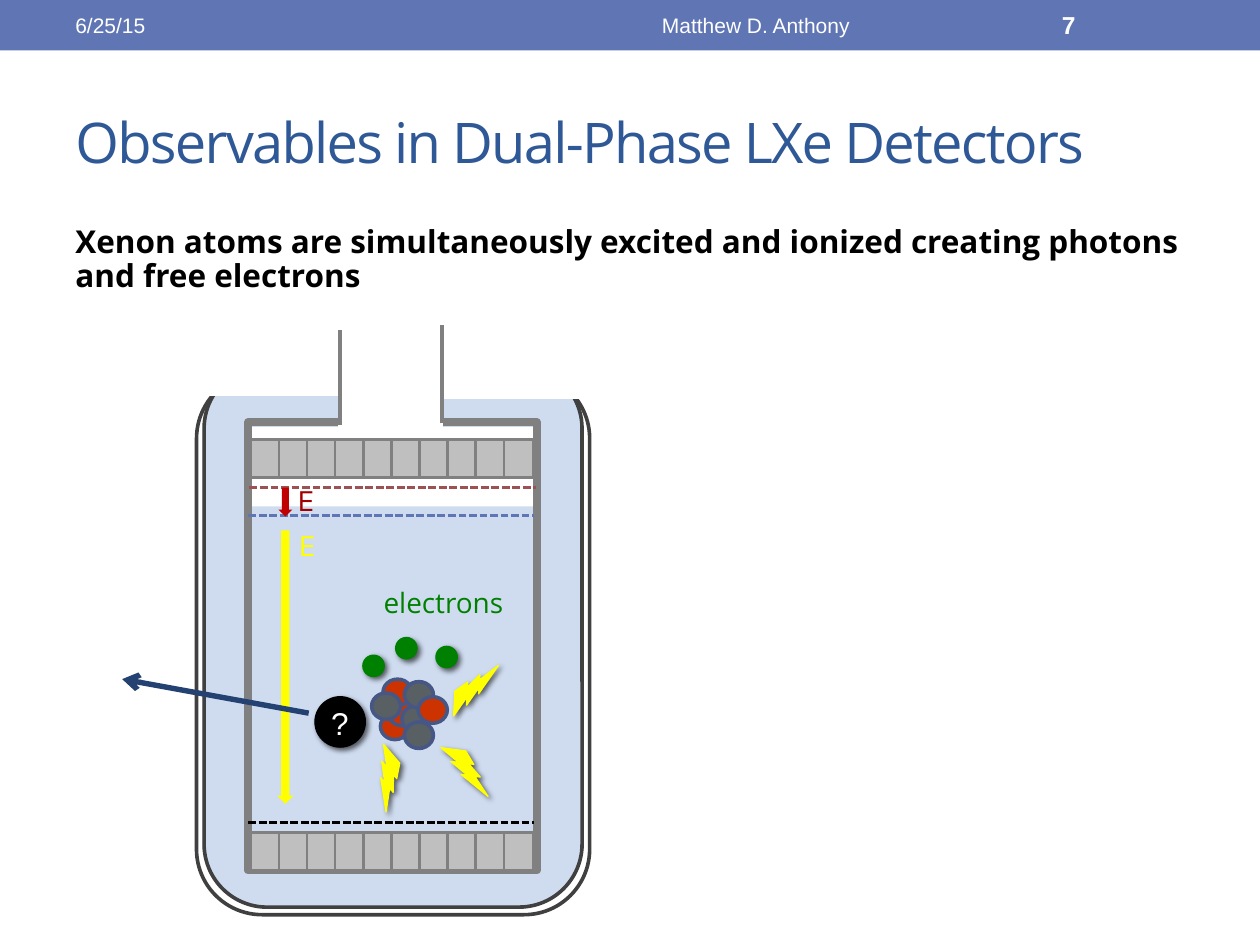
from lxml import etree
from pptx import Presentation
from pptx.dml.color import RGBColor
from pptx.enum.dml import MSO_LINE
from pptx.enum.shapes import MSO_CONNECTOR, MSO_SHAPE
from pptx.enum.text import MSO_ANCHOR, PP_ALIGN
from pptx.oxml import parse_xml
from pptx.oxml.ns import nsdecls, qn
from pptx.util import Inches, Pt

RECT = MSO_SHAPE.RECTANGLE
ROUND = MSO_SHAPE.ROUNDED_RECTANGLE
OVAL = MSO_SHAPE.OVAL
BOLT = MSO_SHAPE.LIGHTNING_BOLT
DOWN = MSO_SHAPE.DOWN_ARROW
STRAIGHT = MSO_CONNECTOR.STRAIGHT
DASH = MSO_LINE.SQUARE_DOT
TOP, MIDDLE = MSO_ANCHOR.TOP, MSO_ANCHOR.MIDDLE
LEFT, CENTER = PP_ALIGN.LEFT, PP_ALIGN.CENTER

WHITE = RGBColor(0xFF, 0xFF, 0xFF)
BLACK = RGBColor(0, 0, 0)
BAR_BLUE = RGBColor(0x60, 0x76, 0xB4)
TITLE_BLUE = RGBColor(0x2F, 0x58, 0x97)
LIQUID = RGBColor(0xCF, 0xDC, 0xF0)
VESSEL = RGBColor(0x40, 0x40, 0x40)
STEEL = RGBColor(0x80, 0x80, 0x80)
SENSOR = RGBColor(0xBF, 0xBF, 0xBF)
MESH_RED = RGBColor(0x9C, 0x52, 0x52)
YELLOW = RGBColor(0xFF, 0xFF, 0)
ARROW_RED = RGBColor(0xC0, 0, 0)
LABEL_RED = RGBColor(0xA2, 0, 0)
PROTON = RGBColor(0xCC, 0x33, 0)
NEUTRON = RGBColor(0x58, 0x60, 0x64)
NUCLEON_EDGE = RGBColor(0x47, 0x57, 0x85)
TRACK = RGBColor(0x23, 0x42, 0x71)
GREEN = RGBColor(0, 0x80, 0)

SHADOW = (
    f'<a:effectLst {nsdecls("a")}><a:outerShdw blurRad="38100" dist="25400" '
    'dir="2700000" rotWithShape="0"><a:srgbClr val="000000"><a:alpha val="60000"/>'
    '</a:srgbClr></a:outerShdw></a:effectLst>'
)


def add_box(shapes, kind, at, fill=None, line=None, width=2.08, rotation=0, shadow=False):
    """Add a preset shape at (left, top, width, height) in inches."""
    s = shapes.add_shape(kind, *map(Inches, at))
    s.rotation = rotation
    if fill is None:
        s.fill.background()
    else:
        s.fill.solid()
        s.fill.fore_color.rgb = fill
    if line is None:
        s.line.fill.background()
    else:
        s.line.color.rgb = line
        s.line.width = Pt(width)
    if shadow:
        s._element.spPr.append(parse_xml(SHADOW))
    else:
        s.shadow.inherit = False
    return s


def add_line(shapes, start, end, color, width=1.5, dash=None, arrow=False):
    """Add a straight line between two points in inches."""
    c = shapes.add_connector(STRAIGHT, *map(Inches, start + end))
    c.line.color.rgb = color
    c.line.width = Pt(width)
    if dash is not None:
        c.line.dash_style = dash
    if arrow:
        etree.SubElement(c.line._get_or_add_ln(), qn("a:tailEnd"), type="arrow")
    etree.SubElement(c._element.spPr, qn("a:effectLst"))
    return c


def add_text(shapes, at, text, size=18, font="Arial", color=WHITE, bold=False,
             align=LEFT, anchor=TOP, line_spacing=None, tracking=None):
    """Add a one-paragraph text box with the given format."""
    tf = shapes.add_textbox(*map(Inches, at)).text_frame
    tf.word_wrap = True
    tf.vertical_anchor = anchor
    p = tf.paragraphs[0]
    p.alignment = align
    p.line_spacing = line_spacing
    r = p.add_run()
    r.text = text
    r.font.size = Pt(size)
    r.font.name = font
    r.font.color.rgb = color
    r.font.bold = bold
    if tracking is not None:
        r._r.get_or_add_rPr().set("spc", str(int(tracking * 100)))


def add_header(shapes):
    """Add the top bar, its three fields, the title and the statement."""
    add_box(shapes, RECT, (0, 0, 10, 0.4), BAR_BLUE)
    add_text(shapes, (0.5, 0.58, 9, 1.08), "Observables in Dual-Phase LXe Detectors",
             size=32, font="Open Sans", color=TITLE_BLUE, anchor=MIDDLE, tracking=-1)
    add_text(shapes, (0.5, 0.02, 3.17, 0.36), "6/25/15", size=12, anchor=MIDDLE)
    add_text(shapes, (3.75, 0.02, 4.5, 0.36), "Matthew D. Anthony", size=12,
             align=CENTER, anchor=MIDDLE)
    add_text(shapes, (8.33, 0.02, 1.17, 0.36), "7", size=14, bold=True, anchor=MIDDLE)
    add_text(shapes, (0.5, 1.75, 9, 0.86),
             "Xenon atoms are simultaneously excited and ionized creating photons "
             "and free electrons",
             font="Open Sans", color=BLACK, bold=True, line_spacing=0.9)


def add_detector(shapes):
    """Add the vessel, sensor rows, neck, meshes and field arrows."""
    add_box(shapes, ROUND, (1.62, 2.95, 3, 4.23), LIQUID, LIQUID)
    add_box(shapes, RECT, (1.98, 3.39, 2.26, 0.63), WHITE)
    add_box(shapes, ROUND, (1.56, 2.96, 3.12, 4.3), line=VESSEL)
    add_box(shapes, ROUND, (1.62, 2.9, 3, 4.3), line=VESSEL)
    add_box(shapes, RECT, (1.68, 2.72, 2.83, 0.41), line=WHITE)
    add_box(shapes, RECT, (1.97, 3.35, 2.29, 3.56), line=STEEL, width=4.5)
    for top in (3.49, 6.61):
        for i in range(10):
            add_box(shapes, RECT, (1.99 + i * 0.2233, top, 0.23, 0.3), SENSOR, STEEL, 1.5)
    add_box(shapes, RECT, (2.7, 2.33, 0.8, 1.06), WHITE, WHITE)
    add_box(shapes, RECT, (2.7, 3.13, 0.81, 0.08), WHITE)
    for at in ((2.66, 2.33, 0.9, 0.04), (3.46, 2.83, 1.19, 0.32), (1.65, 2.81, 1.05, 0.32)):
        add_box(shapes, RECT, at, WHITE, WHITE)
    for left, y, color in ((1.97, 4.09, BAR_BLUE), (1.98, 3.87, MESH_RED), (1.97, 6.53, BLACK)):
        add_line(shapes, (left, y), (left + 2.27, y), color, dash=DASH)
    for x, bottom, top in ((2.7, 3.37, 2.62), (3.51, 3.36, 2.58)):
        add_line(shapes, (x, bottom), (x, top), STEEL, 2.25)
    add_box(shapes, DOWN, (2.2, 4.21, 0.13, 2.17), YELLOW)
    add_text(shapes, (2.27, 4.12, 0.21, 0.23), "E", font="Karla", color=YELLOW)
    add_box(shapes, DOWN, (2.21, 3.87, 0.11, 0.23), ARROW_RED)


def add_unknown_particle(shapes):
    """Add the black ball with its question mark."""
    add_box(shapes, OVAL, (2.5, 5.53, 0.4, 0.4), BLACK, BLACK, 0.75, shadow=True)
    add_text(shapes, (2.53, 5.54, 0.4, 0.4), "?")


def add_nucleus(shapes):
    """Add the cluster of protons and neutrons."""
    nucleons = (
        (3.02, 5.66, PROTON), (3.08, 5.55, PROTON), (3.04, 5.39, PROTON),
        (2.95, 5.5, NEUTRON), (3.19, 5.6, NEUTRON), (3.21, 5.41, NEUTRON),
        (3.32, 5.53, PROTON), (3.21, 5.73, NEUTRON),
    )
    for x, y, color in nucleons:
        add_box(shapes, OVAL, (x, y, 0.23, 0.21), color, NUCLEON_EDGE)


def add_signals(shapes):
    """Add the particle track, the photons and the labelled electrons."""
    add_line(shapes, (2.45, 5.66), (0.97, 5.39), TRACK, 3.08, arrow=True)
    for x, y, angle in ((3.51, 5.34, 287.2), (3.45, 5.97, 21.6), (2.83, 6.03, 63.5)):
        add_box(shapes, BOLT, (x, y, 0.49, 0.27), YELLOW, YELLOW, 0.75, angle, shadow=True)
    for x, y in ((2.88, 5.2), (3.14, 5.06), (3.46, 5.13)):
        add_box(shapes, OVAL, (x, y, 0.17, 0.17), GREEN, GREEN, 0.75, shadow=True)
    add_text(shapes, (2.7, 4.6, 1.64, 0.37), "electrons", size=16, font="Open Sans",
             color=GREEN, align=CENTER)


def main():
    """Build the slide and save it."""
    prs = Presentation()
    prs.slide_width, prs.slide_height = Inches(10), Inches(7.5)
    shapes = prs.slides.add_slide(prs.slide_layouts[6]).shapes
    add_header(shapes)
    add_detector(shapes.add_group_shape().shapes)
    add_unknown_particle(shapes.add_group_shape().shapes)
    add_text(shapes, (2.26, 3.76, 0.21, 0.4), "E", font="Karla", color=LABEL_RED)
    add_nucleus(shapes.add_group_shape().shapes)
    add_signals(shapes)
    prs.save("out.pptx")


if __name__ == "__main__":
    main()
